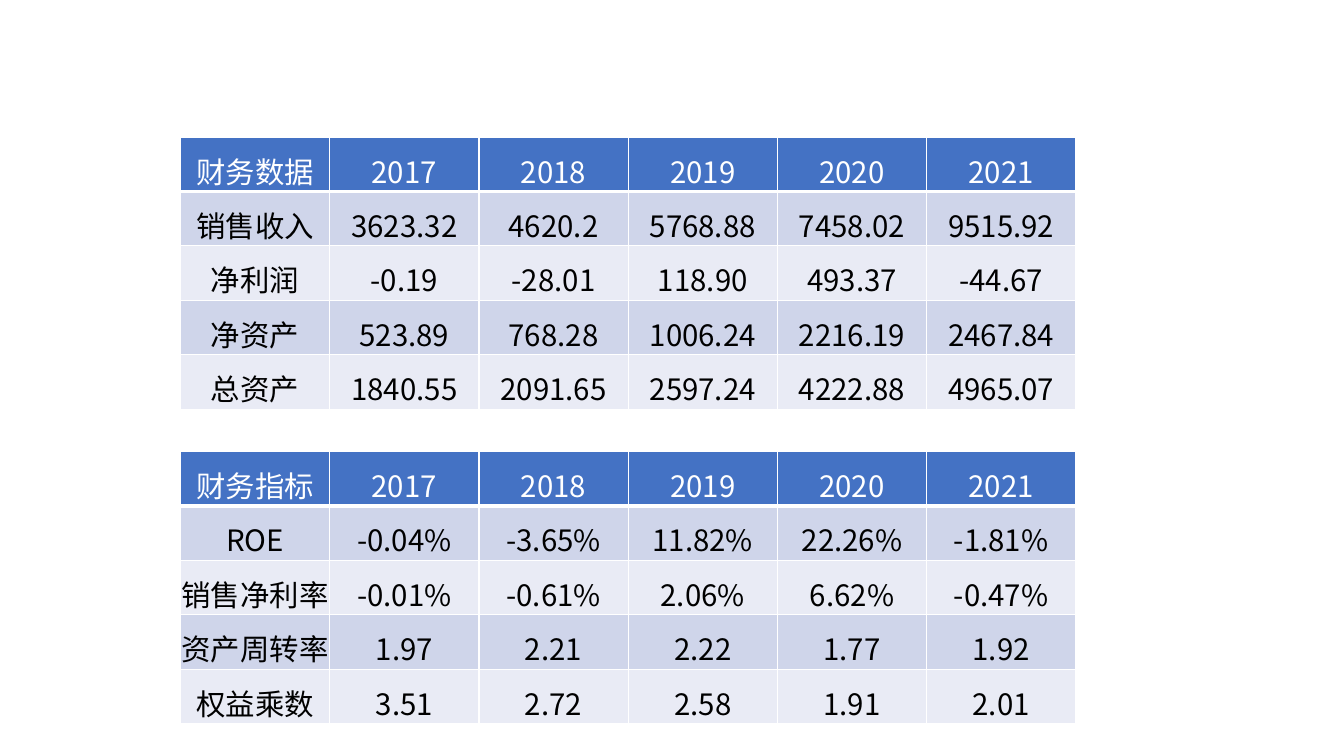
from lxml.etree import SubElement
from pptx import Presentation
from pptx.dml.color import RGBColor
from pptx.enum.text import MSO_ANCHOR, PP_ALIGN
from pptx.oxml.ns import qn
from pptx.util import Inches, Pt


def rgb(value):
    return RGBColor.from_string(value)


class SlideBuilder:
    """Hold the table style and the current slide."""

    FONT = "Noto Sans CJK SC"
    SIZE = 21
    HEADER = "4472C4"
    BANDS = ("CFD5EA", "E9EBF5")
    WHITE = "FFFFFF"
    BLACK = "000000"

    def __init__(self, prs):
        self.slide = prs.slides.add_slide(prs.slide_layouts[6])

    def border(self, cell, side, width):
        ln = SubElement(cell._tc.get_or_add_tcPr(), qn(f"a:ln{side}"), w=str(Pt(width)))
        fill = SubElement(ln, qn("a:solidFill"))
        SubElement(fill, qn("a:srgbClr"), val=self.WHITE)

    def cell(self, cell, text, row):
        header = row == 0
        cell.margin_left = cell.margin_right = cell.margin_top = Inches(0.01)
        cell.margin_bottom = 0
        cell.vertical_anchor = MSO_ANCHOR.BOTTOM
        for side in "LRTB":
            thick = (row, side) in ((0, "B"), (1, "T"))
            self.border(cell, side, 3 if thick else 1)
        cell.fill.solid()
        cell.fill.fore_color.rgb = rgb(self.HEADER if header else self.BANDS[(row - 1) % 2])
        p = cell.text_frame.paragraphs[0]
        p.text = text
        p.alignment = PP_ALIGN.CENTER
        p.font.size = Pt(self.SIZE)
        p.font.bold = False
        p.font.color.rgb = rgb(self.WHITE if header else self.BLACK)
        p.font.name = self.FONT
        SubElement(p.font._element, qn("a:ea"), typeface=self.FONT)

    def table(self, left, top, col_width, row_height, rows):
        n_rows, n_cols = len(rows), len(rows[0])
        table = self.slide.shapes.add_table(
            n_rows, n_cols, Inches(left), Inches(top),
            Inches(col_width * n_cols), Inches(row_height * n_rows)).table
        for r, values in enumerate(rows):
            for c, text in enumerate(values):
                self.cell(table.cell(r, c), text, r)


YEARS = ("2017", "2018", "2019", "2020", "2021")
FINANCIAL_DATA = (
    ("财务数据", *YEARS),
    ("销售收入", "3623.32", "4620.2", "5768.88", "7458.02", "9515.92"),
    ("净利润", "-0.19", "-28.01", "118.90", "493.37", "-44.67"),
    ("净资产", "523.89", "768.28", "1006.24", "2216.19", "2467.84"),
    ("总资产", "1840.55", "2091.65", "2597.24", "4222.88", "4965.07"),
)
FINANCIAL_RATIOS = (
    ("财务指标", *YEARS),
    ("ROE", "-0.04%", "-3.65%", "11.82%", "22.26%", "-1.81%"),
    ("销售净利率", "-0.01%", "-0.61%", "2.06%", "6.62%", "-0.47%"),
    ("资产周转率", "1.97", "2.21", "2.22", "1.77", "1.92"),
    ("权益乘数", "3.51", "2.72", "2.58", "1.91", "2.01"),
)


def main():
    prs = Presentation()
    prs.slide_width = Inches(13.33)
    prs.slide_height = Inches(7.5)
    s = SlideBuilder(prs)
    for top, rows in ((1.36, FINANCIAL_DATA), (4.48, FINANCIAL_RATIOS)):
        s.table(1.79, top, 1.48, 0.54, rows)
    prs.save("out.pptx")


if __name__ == "__main__":
    main()
